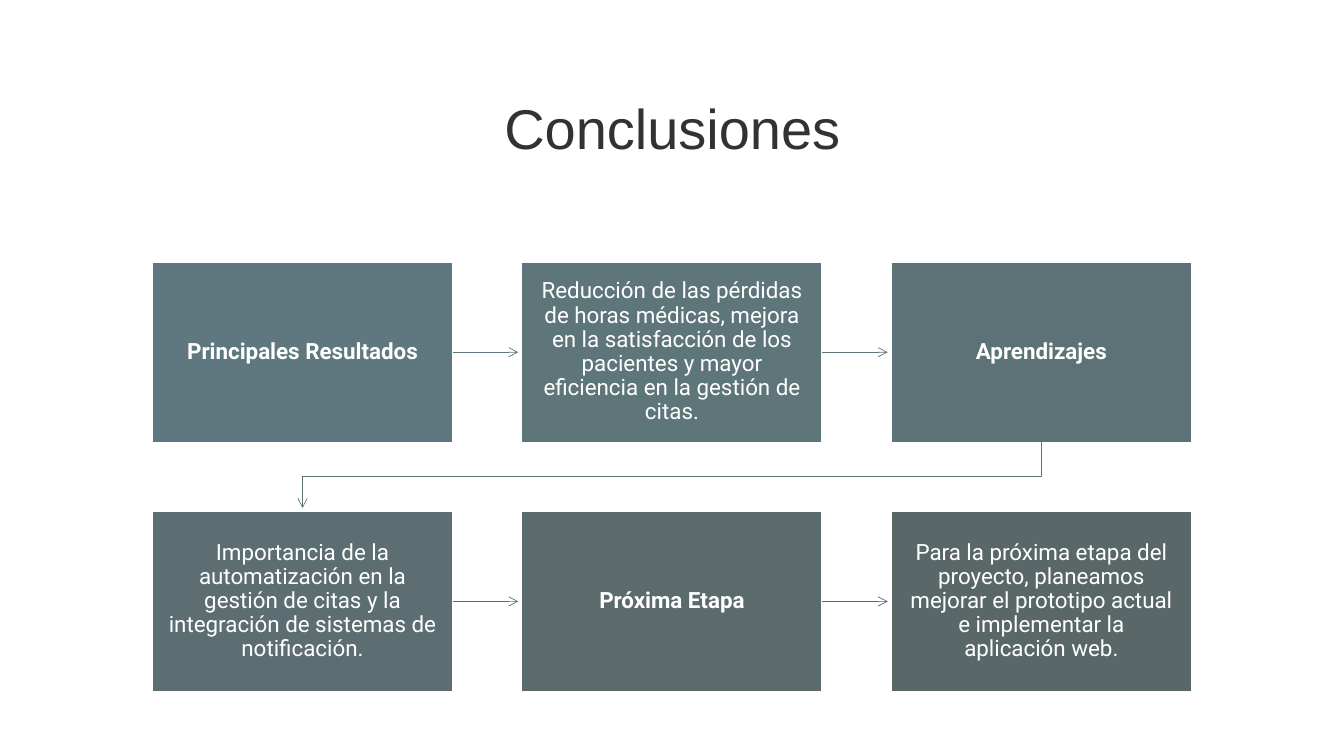
from lxml import etree
from pptx import Presentation
from pptx.dml.color import RGBColor
from pptx.enum.shapes import MSO_CONNECTOR, MSO_SHAPE
from pptx.enum.text import MSO_ANCHOR, PP_ALIGN
from pptx.oxml.ns import qn
from pptx.util import Cm, Pt

CENTER, MIDDLE = PP_ALIGN.CENTER, MSO_ANCHOR.MIDDLE
RECTANGLE, STRAIGHT = MSO_SHAPE.RECTANGLE, MSO_CONNECTOR.STRAIGHT
RIGHT_SIDE = 3

COLORS = {
    "white": "FFFFFF", "title": "323232",
    "box1": "5F787F", "box2": "5E757A", "box3": "5D7276",
    "box4": "5C6E71", "box5": "5B6B6C", "box6": "5A6768",
    "arrow1": "5F787F", "arrow2": "5E7479", "arrow3": "5D7073",
    "arrow4": "5B6C6E", "arrow5": "5A6768",
}

# Grid of boxes, in cm
COLUMNS = 3
LEFT, TOP = 3.84, 6.6
BOX_W, BOX_H = 7.57, 4.55
STEP_X, STEP_Y = 9.31, 6.28
ARROW_LENGTH = 1.65

# Text and whether it is a bold heading
STEPS = [
    ("Principales Resultados", True),
    ("Reducción de las pérdidas de horas médicas, mejora en la satisfacción "
     "de los pacientes y mayor eficiencia en la gestión de citas.", False),
    ("Aprendizajes", True),
    ("Importancia de la automatización en la gestión de citas y la "
     "integración de sistemas de notificación.", False),
    ("Próxima Etapa", True),
    ("Para la próxima etapa del proyecto, planeamos mejorar el prototipo "
     "actual e implementar la aplicación web.", False),
]


class FlowSlide:
    def __init__(self, slide):
        self.slide = slide
        self.shapes = slide.shapes

    def color(self, name):
        return RGBColor.from_string(COLORS[name])

    def background(self, color):
        fill = self.slide.background.fill
        fill.solid()
        fill.fore_color.rgb = self.color(color)

    def set_text(self, shape, text, font, size, color, bold=False):
        frame = shape.text_frame
        frame.word_wrap = True
        frame.vertical_anchor = MIDDLE
        frame.text = text
        paragraph = frame.paragraphs[0]
        paragraph.alignment = CENTER
        paragraph.line_spacing = 0.9
        style = paragraph.runs[0].font
        style.name, style.size, style.bold = font, Pt(size), bold
        style.color.rgb = self.color(color)

    def title(self, text, left, top, width, height):
        heading = self.shapes.add_textbox(Cm(left), Cm(top), Cm(width), Cm(height))
        self.set_text(heading, text, "Arial", 40, "title")

    def box(self, text, bold, left, top, color):
        box = self.shapes.add_shape(RECTANGLE, Cm(left), Cm(top), Cm(BOX_W), Cm(BOX_H))
        box.shadow.inherit = False
        box.fill.solid()
        box.fill.fore_color.rgb = self.color(color)
        box.line.color.rgb = self.color("white")
        box.line.width = Pt(1)
        frame = box.text_frame
        frame.margin_left = frame.margin_right = Cm(0.38)
        frame.margin_top = frame.margin_bottom = Cm(0.38)
        self.set_text(box, text, "Roboto", 16, "white", bold)
        return box

    def arrow_line(self, line, color):
        line.color.rgb = self.color(color)
        line.width = Pt(0.5)
        etree.SubElement(line._get_or_add_ln(), qn("a:tailEnd"), type="arrow")

    def arrow(self, box, color):
        start = box.left + box.width
        y = box.top + box.height // 2
        arrow = self.shapes.add_connector(STRAIGHT, start, y, start + Cm(ARROW_LENGTH), y)
        arrow.begin_connect(box, RIGHT_SIDE)
        self.arrow_line(arrow.line, color)
        etree.SubElement(arrow._element.spPr, qn("a:effectLst"))

    def row_arrow(self, source, target, color):
        start_x = source.left + source.width // 2
        end_x = target.left + target.width // 2
        start_y = source.top + source.height
        bend_y = (start_y + target.top) // 2
        outline = self.shapes.build_freeform(start_x, start_y)
        outline.add_line_segments(
            [(start_x, bend_y), (end_x, bend_y), (end_x, target.top - Cm(0.08))],
            close=False)
        arrow = outline.convert_to_shape()
        arrow.shadow.inherit = False
        arrow.fill.background()
        self.arrow_line(arrow.line, color)


def main():
    deck = Presentation()
    deck.slide_width, deck.slide_height = Cm(33.87), Cm(19.05)
    conclusions = FlowSlide(deck.slides.add_slide(deck.slide_layouts[6]))
    conclusions.background("white")

    # Title
    conclusions.title("Conclusiones", 3.96, 1.42, 25.96, 3.76)

    # Boxes, row by row
    boxes = []
    for index, (text, bold) in enumerate(STEPS):
        row, column = divmod(index, COLUMNS)
        boxes.append(conclusions.box(text, bold, LEFT + column * STEP_X,
                                     TOP + row * STEP_Y, f"box{index + 1}"))

    # Arrows from each box to the next
    for number, (source, target) in enumerate(zip(boxes, boxes[1:]), start=1):
        if number % COLUMNS:
            conclusions.arrow(source, f"arrow{number}")
        else:
            conclusions.row_arrow(source, target, f"arrow{number}")

    deck.save("out.pptx")


if __name__ == "__main__":
    main()
